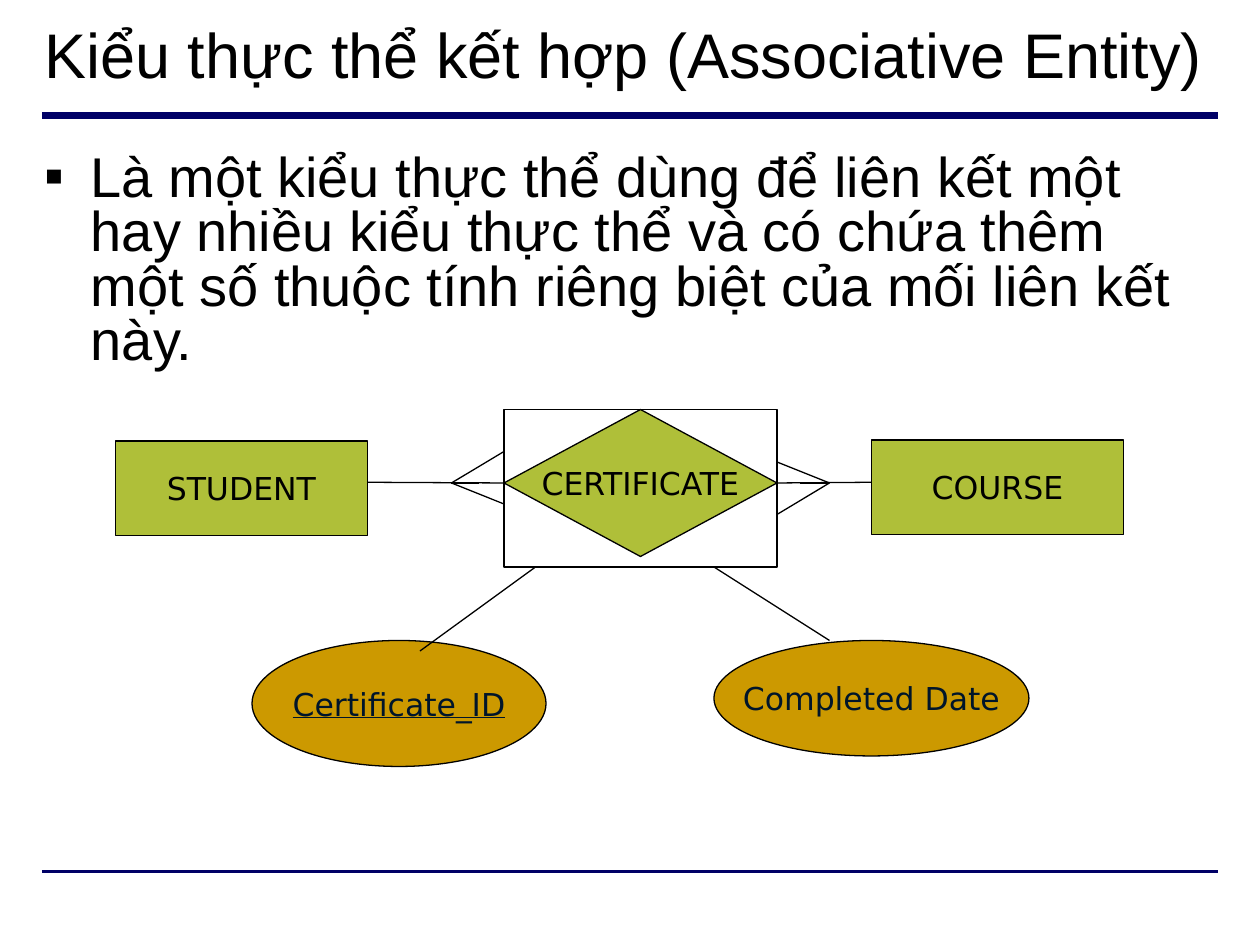
from dataclasses import dataclass

from lxml import etree
from pptx import Presentation
from pptx.dml.color import RGBColor
from pptx.enum.shapes import MSO_CONNECTOR, MSO_SHAPE
from pptx.enum.text import MSO_ANCHOR, MSO_AUTO_SIZE, PP_ALIGN
from pptx.oxml.ns import qn
from pptx.util import Pt

STRAIGHT = MSO_CONNECTOR.STRAIGHT
RECTANGLE = MSO_SHAPE.RECTANGLE
DIAMOND = MSO_SHAPE.DIAMOND
OVAL = MSO_SHAPE.OVAL
MIDDLE = MSO_ANCHOR.MIDDLE
TOP = MSO_ANCHOR.TOP
NO_AUTOFIT = MSO_AUTO_SIZE.NONE
LEFT = PP_ALIGN.LEFT
CENTER = PP_ALIGN.CENTER

BLACK = RGBColor(0x00, 0x00, 0x00)
NAVY = RGBColor(0x00, 0x00, 0x66)
GREEN = RGBColor(0xAF, 0xBF, 0x39)
OCHRE = RGBColor(0xCC, 0x99, 0x00)
INK = RGBColor(0x00, 0x15, 0x2A)

TITLE = "Kiểu thực thể kết hợp (Associative Entity)"
DEFINITION = (
    "Là một kiểu thực thể dùng để liên kết một hay nhiều kiểu thực thể "
    "và có chứa thêm một số thuộc tính riêng biệt của mối liên kết này."
)


@dataclass(frozen=True)
class Node:
    label: str
    outline: MSO_SHAPE
    left: float
    top: float
    width: float
    height: float
    fill: RGBColor | None
    ink: RGBColor = BLACK
    is_key: bool = False


@dataclass(frozen=True)
class Link:
    x1: float
    y1: float
    x2: float
    y2: float
    color: RGBColor = BLACK
    weight: float = 0.75


RULES = [
    Link(24, 66, 696, 66, NAVY, 4.5),
    Link(24, 498, 696, 498, NAVY, 2.25),
]
ENTITIES = [
    Node("STUDENT", RECTANGLE, 66, 252, 144, 54, GREEN),
    Node("COURSE", RECTANGLE, 498, 251.5, 144, 54, GREEN),
    Node("CERTIFICATE", DIAMOND, 288, 234, 156, 84, GREEN),
]
RELATIONS = [Link(210, 275.6, 288, 276), Link(444, 276, 498, 275.6)]
FRAME = Node("", RECTANGLE, 288, 234, 156, 90, None)
ATTRIBUTES = [
    Node("Certificate_ID", OVAL, 144, 366, 168, 72, OCHRE, INK, True),
    Node("Completed Date", OVAL, 408, 366, 180, 66, OCHRE, INK),
]
ATTRIBUTE_LINKS = [Link(306, 324, 240, 372), Link(408, 324, 474, 366)]


def crow_foot(tip: float, stem: float, edge: float, upper: float, lower: float) -> list[Link]:
    ends = [(edge, upper), (stem, 276), (edge, lower)]
    return [Link(tip, 276, x, y) for x, y in ends]


def draw_link(slide, link: Link) -> None:
    ends = (Pt(v) for v in (link.x1, link.y1, link.x2, link.y2))
    connector = slide.shapes.add_connector(STRAIGHT, *ends)
    connector.line.color.rgb = link.color
    connector.line.width = Pt(link.weight)
    etree.SubElement(connector._element.spPr, qn("a:effectLst"))


def draw_node(slide, node: Node) -> None:
    box = (Pt(v) for v in (node.left, node.top, node.width, node.height))
    shape = slide.shapes.add_shape(node.outline, *box)
    shape.shadow.inherit = False
    shape.line.color.rgb = BLACK
    shape.line.width = Pt(0.75)
    if node.fill is None:
        shape.fill.background()
    else:
        shape.fill.solid()
        shape.fill.fore_color.rgb = node.fill
    if node.label:
        frame = shape.text_frame
        frame.text = node.label
        frame.word_wrap = False
        frame.vertical_anchor = MIDDLE
        paragraph = frame.paragraphs[0]
        paragraph.alignment = CENTER
        font = paragraph.runs[0].font
        font.name = "DejaVu Sans"
        font.size = Pt(18)
        font.color.rgb = node.ink
        if node.is_key:
            font.underline = True


def add_bullet(paragraph) -> None:
    properties = paragraph._p.get_or_add_pPr()
    properties.set("marL", str(Pt(26.64)))
    properties.set("indent", str(-Pt(26.64)))
    color = etree.SubElement(properties, qn("a:buClr"))
    etree.SubElement(color, qn("a:srgbClr"), val=str(BLACK))
    etree.SubElement(properties, qn("a:buFont"), typeface="Arial")
    etree.SubElement(properties, qn("a:buChar"), char="▪")


def fill_placeholder(holder, text: str, top: float, height: float, size: float,
                     anchor: MSO_ANCHOR, bulleted: bool = False) -> None:
    holder.left, holder.top = Pt(18), Pt(top)
    holder.width, holder.height = Pt(683.3), Pt(height)
    frame = holder.text_frame
    frame.text = text
    frame.word_wrap = True
    frame.auto_size = NO_AUTOFIT
    frame.vertical_anchor = anchor
    paragraph = frame.paragraphs[0]
    if bulleted:
        add_bullet(paragraph)
    paragraph.alignment = LEFT
    paragraph.line_spacing = 0.81
    paragraph.space_before = Pt(0)
    font = paragraph.runs[0].font
    font.name = "Arial"
    font.size = Pt(size)
    font.color.rgb = BLACK


def main() -> None:
    deck = Presentation()
    deck.slide_width, deck.slide_height = Pt(720), Pt(540)
    slide = deck.slides.add_slide(deck.slide_layouts[1])
    fill_placeholder(slide.shapes.title, TITLE, 6.5, 55.5, 36, MIDDLE)
    fill_placeholder(slide.placeholders[1], DEFINITION, 84.25, 398, 32, TOP, True)

    for rule in RULES:
        draw_link(slide, rule)
    for entity in ENTITIES:
        draw_node(slide, entity)
    for relation in RELATIONS:
        draw_link(slide, relation)
    draw_node(slide, FRAME)
    course_foot = crow_foot(474, 457, 444, 264, 294)
    student_foot = crow_foot(258, 274, 288, 258, 288)
    for toe in course_foot + student_foot:
        draw_link(slide, toe)
    for attribute in ATTRIBUTES:
        draw_node(slide, attribute)
    for attribute_link in ATTRIBUTE_LINKS:
        draw_link(slide, attribute_link)

    deck.save("out.pptx")


if __name__ == "__main__":
    main()
